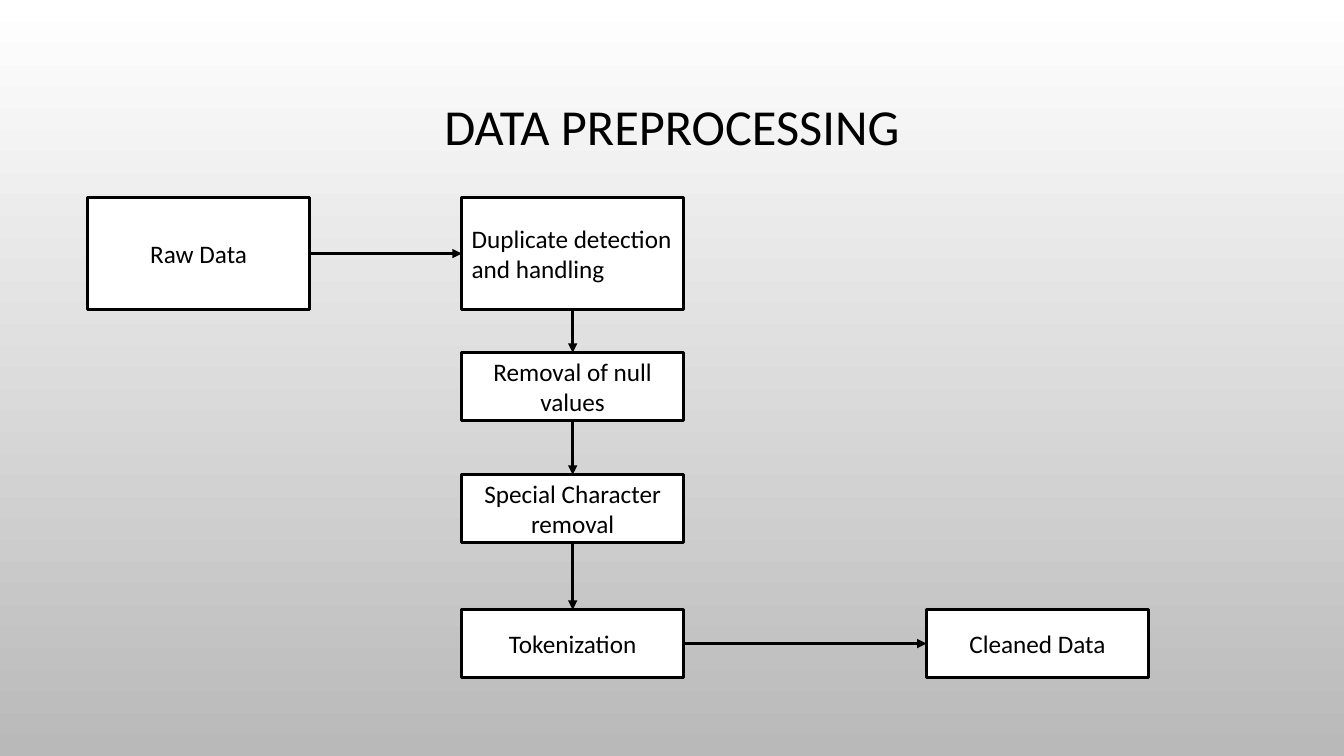
from lxml.etree import SubElement
from pptx import Presentation
from pptx.dml.color import RGBColor
from pptx.enum.shapes import MSO_CONNECTOR as CONN, MSO_SHAPE as SHAPE
from pptx.enum.text import MSO_ANCHOR as ANCHOR, MSO_AUTO_SIZE as AUTO, PP_ALIGN as ALIGN
from pptx.oxml.ns import qn
from pptx.util import Inches, Pt

BLACK = RGBColor(0x00, 0x00, 0x00)
WHITE = RGBColor(0xFF, 0xFF, 0xFF)
GREY = RGBColor(0xB9, 0xB9, 0xB9)
FONT = "Calibri"
LINE_WIDTH = Pt(2.25)
BOX_WIDTH = 2.2
LEFT_COL, MID_COL, RIGHT_COL = 0.87, 4.58, 9.19
TALL, LOW = 1.11, 0.67
TOP, LEFT, BOTTOM, RIGHT = range(4)

STEPS = [
    ("Raw Data", LEFT_COL, 1.96, TALL, ALIGN.CENTER),
    ("Duplicate detection and handling", MID_COL, 1.96, TALL, ALIGN.LEFT),
    ("Removal of null values", MID_COL, 3.5, LOW, ALIGN.CENTER),
    ("Special Character removal", MID_COL, 4.71, LOW, ALIGN.CENTER),
    ("Tokenization", MID_COL, 6.05, LOW, ALIGN.CENTER),
    ("Cleaned Data", RIGHT_COL, 6.05, LOW, ALIGN.CENTER),
]


def set_attrs(obj, values):
    for name, value in values.items():
        setattr(obj, name, value)


def write_text(sp, text, size, align):
    tf = sp.text_frame
    set_attrs(tf, {"text": text, "word_wrap": True,
                   "vertical_anchor": ANCHOR.MIDDLE, "auto_size": AUTO.NONE})
    p = tf.paragraphs[0]
    p.alignment = align
    font = p.runs[0].font
    set_attrs(font, {"name": FONT, "size": Pt(size)})
    font.color.rgb = BLACK
    return p


def set_background(s):
    fill = s.background.fill
    fill.gradient()
    fill.gradient_angle = 270
    for stop, color, position in zip(fill.gradient_stops, (WHITE, GREY), (0, 1)):
        stop.color.rgb = color
        stop.position = position


def set_title(s, text):
    title = s.shapes.title
    set_attrs(title, {"left": Inches(1), "top": Inches(0.68),
                      "width": Inches(11.33), "height": Inches(1.75)})
    p = write_text(title, text, 36, ALIGN.CENTER)
    p.line_spacing = 0.9
    title.text_frame.margin_bottom = Inches(0.6)


def add_step(s, text, left, top, height, align):
    sp = s.shapes.add_shape(SHAPE.RECTANGLE, Inches(left), Inches(top),
                            Inches(BOX_WIDTH), Inches(height))
    sp.shadow.inherit = False
    sp.fill.solid()
    sp.fill.fore_color.rgb = WHITE
    sp.line.color.rgb = BLACK
    sp.line.width = LINE_WIDTH
    write_text(sp, text, 18, align)
    return sp


def add_arrow(s, source, target):
    same_row = source.top == target.top
    begin, end = (RIGHT, LEFT) if same_row else (BOTTOM, TOP)
    arrow = s.shapes.add_connector(CONN.STRAIGHT, 0, 0, 0, 0)
    arrow.begin_connect(source, begin)
    arrow.end_connect(target, end)
    arrow.line.color.rgb = BLACK
    arrow.line.width = LINE_WIDTH
    SubElement(arrow.line._get_or_add_ln(), qn("a:tailEnd"), type="triangle")
    SubElement(arrow._element.spPr, qn("a:effectLst"))


def main():
    prs = Presentation()
    set_attrs(prs, {"slide_width": Inches(13.33), "slide_height": Inches(7.5)})
    s = prs.slides.add_slide(prs.slide_layouts.get_by_name("Title Only"))
    set_background(s)
    set_title(s, "DATA PREPROCESSING")
    boxes = [add_step(s, *step) for step in STEPS]
    for source, target in zip(boxes, boxes[1:]):
        add_arrow(s, source, target)
    prs.save("out.pptx")


if __name__ == "__main__":
    main()
